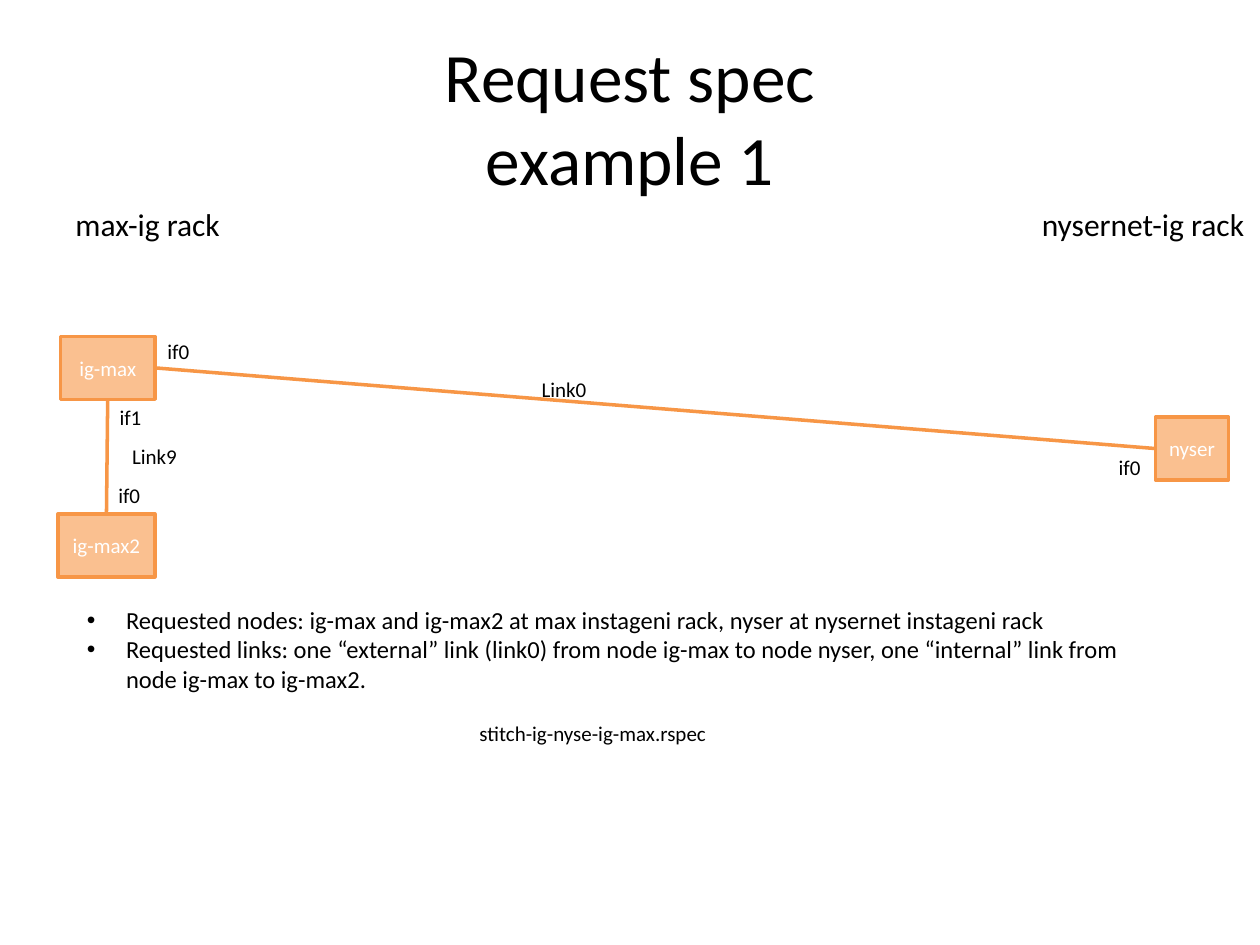
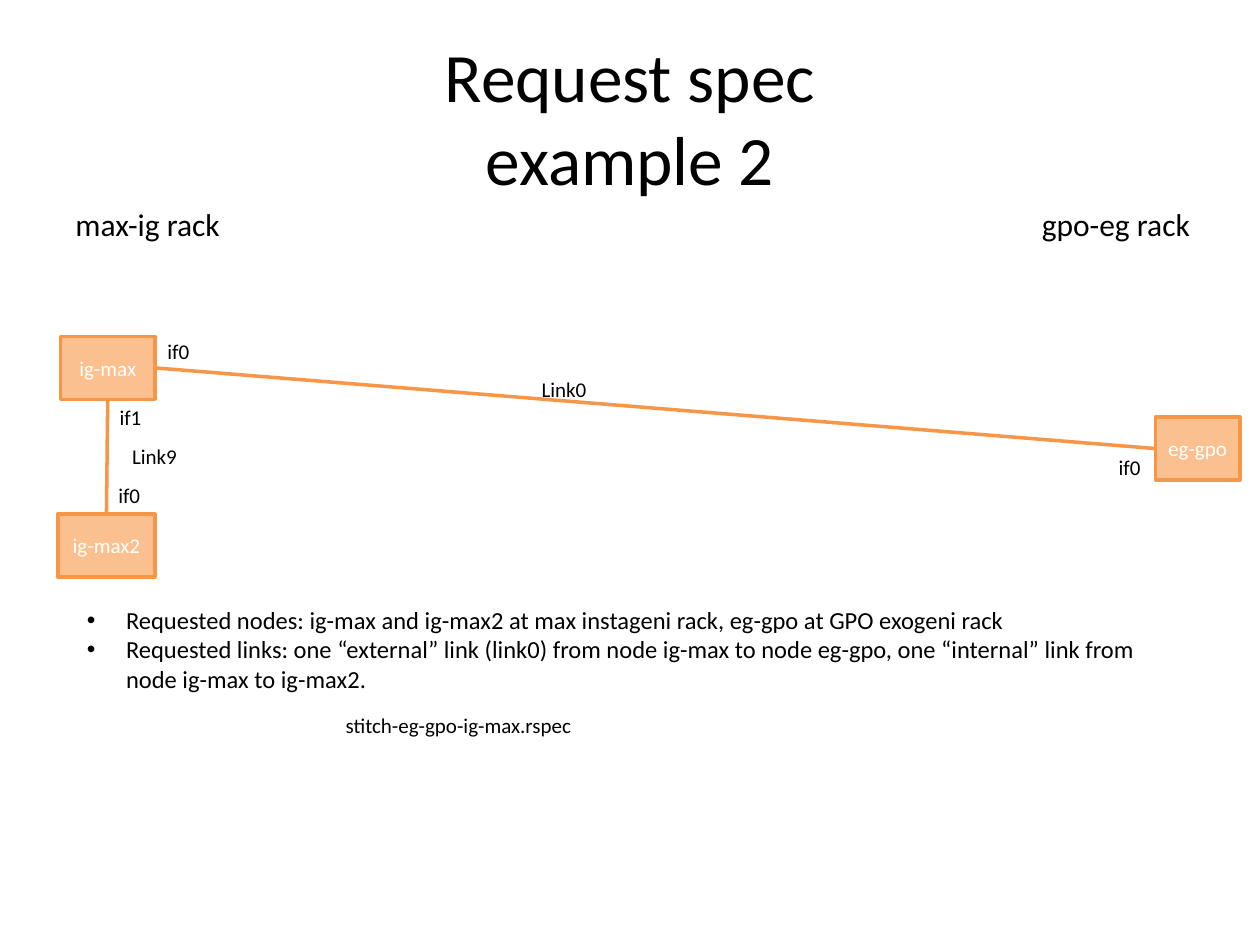
from copy import deepcopy

from lxml.etree import SubElement
from pptx import Presentation
from pptx.dml.color import RGBColor
from pptx.enum.shapes import MSO_CONNECTOR, MSO_SHAPE
from pptx.enum.text import MSO_ANCHOR, MSO_AUTO_SIZE, PP_ALIGN
from pptx.oxml.ns import qn
from pptx.util import Inches, Pt

FONT = "Calibri"
BLACK, WHITE = "000000", "FFFFFF"
NODE_FILL, NODE_LINE = "FAC090", "F79646"
LINE_WIDTH = Pt(2)
NODE_HEIGHT = 0.5
RIGHT, BOTTOM, LEFT, TOP = 3, 2, 1, 0  # connection sites of a rectangle

# Labels that every topology shows: text, left, top, width
LINK_LABELS = [
    ("Link0", 4.2, 2.94, 0.56),
    ("Link9", 0.95, 3.47, 0.56),
    ("if0", 1.23, 2.64, 0.38),
    ("if1", 0.85, 3.16, 0.38),
    ("if0", 0.84, 3.78, 0.38),
    ("if0", 8.78, 3.56, 0.38),
]

# What differs between the examples
EXAMPLES = [
    dict(remote="nyser", remote_width=0.58, rack="nysernet-ig rack",
         rack_width=1.83, site="nysernet instageni rack",
         file="stitch-ig-nyse-ig-max.rspec", file_box=(2.58, 5.67, 4.25, 0.3)),
    dict(remote="eg-gpo", remote_width=0.67, rack="gpo-eg rack",
         rack_width=1.43, site="GPO exogeni rack",
         file="stitch-eg-gpo-ig-max.rspec", file_box=(1.61, 5.61, 4.06, 0.3)),
]


def color(hex_string):
    return RGBColor.from_string(hex_string)


def write(paragraph, text, size=12, text_color=BLACK, align=PP_ALIGN.LEFT):
    """Fill a paragraph; a newline in the text becomes a line break."""
    paragraph.text = text
    paragraph.alignment = align
    for run in paragraph.runs:
        run.font.name = FONT
        run.font.size = Pt(size)
        run.font.color.rgb = color(text_color)
    # Line breaks take the size of the text around them
    for line_break in paragraph._p.findall(qn("a:br")):
        line_break.insert(0, deepcopy(paragraph.runs[0]._r.rPr))


def place(shape, left, top, width, height):
    shape.left, shape.top = Inches(left), Inches(top)
    shape.width, shape.height = Inches(width), Inches(height)


def add_title(slide, text):
    title = slide.shapes.title
    place(title, 0.5, 0.3, 9, 1.25)
    title.text_frame.auto_size = MSO_AUTO_SIZE.NONE
    title.text_frame.vertical_anchor = MSO_ANCHOR.MIDDLE
    write(title.text_frame.paragraphs[0], text, size=39.6, align=PP_ALIGN.CENTER)


def add_bullets(slide, items):
    body = slide.placeholders[1]
    place(body, 0.59, 4.75, 8.74, 0.81)
    frame = body.text_frame
    frame.auto_size = MSO_AUTO_SIZE.NONE
    frame.vertical_anchor = MSO_ANCHOR.TOP
    for index, item in enumerate(items):
        paragraph = frame.add_paragraph() if index else frame.paragraphs[0]
        properties = paragraph._p.get_or_add_pPr()
        properties.set("marL", str(Inches(0.31)))
        properties.set("indent", str(-Inches(0.31)))
        SubElement(properties, qn("a:buFont"), typeface="Arial")
        SubElement(properties, qn("a:buChar"), char="•")
        paragraph.space_before = Pt(0)
        write(paragraph, item, size=14)


def add_label(slide, text, left, top, width, height=0.3, wrap=False, **text_format):
    box = slide.shapes.add_textbox(
        Inches(left), Inches(top), Inches(width), Inches(height))
    box.text_frame.word_wrap = wrap
    box.text_frame.auto_size = MSO_AUTO_SIZE.SHAPE_TO_FIT_TEXT
    write(box.text_frame.paragraphs[0], text, **text_format)


def add_node(slide, name, left, top, width):
    node = slide.shapes.add_shape(
        MSO_SHAPE.RECTANGLE,
        Inches(left), Inches(top), Inches(width), Inches(NODE_HEIGHT))
    node.shadow.inherit = False
    node.fill.solid()
    node.fill.fore_color.rgb = color(NODE_FILL)
    node.line.color.rgb = color(NODE_LINE)
    node.line.width = LINE_WIDTH
    frame = node.text_frame
    frame.margin_left = frame.margin_right = Inches(0.05)
    frame.vertical_anchor = MSO_ANCHOR.MIDDLE
    write(frame.paragraphs[0], name, text_color=WHITE, align=PP_ALIGN.CENTER)
    return node


def add_link(slide, start, start_site, end, end_site):
    link = slide.shapes.add_connector(MSO_CONNECTOR.STRAIGHT, 0, 0, 0, 0)
    link.begin_connect(start, start_site)
    link.end_connect(end, end_site)
    link.line.color.rgb = color(NODE_LINE)
    link.line.width = LINE_WIDTH
    SubElement(link._element.spPr, qn("a:effectLst"))


def add_topology(slide, example):
    # Nodes and the links between them
    local = add_node(slide, "ig-max", 0.48, 2.67, 0.75)
    neighbour = add_node(slide, "ig-max2", 0.46, 4.08, 0.77)
    remote = add_node(slide, example["remote"], 9.17, 3.31, example["remote_width"])
    add_link(slide, local, RIGHT, remote, LEFT)
    add_link(slide, local, BOTTOM, neighbour, TOP)

    # Link, interface and rack names
    for label in LINK_LABELS:
        add_label(slide, *label)
    add_label(slide, "max-ig rack", 0.5, 1.58, 1.38, 0.4, size=18)
    add_label(slide, example["rack"], 8.17, 1.58, example["rack_width"], 0.4, size=18)


def add_example_slide(presentation, number, example):
    slide = presentation.slides.add_slide(presentation.slide_layouts[1])
    remote = example["remote"]
    add_title(slide, f"Request spec\nexample {number}")
    add_topology(slide, example)
    add_bullets(slide, [
        f"Requested nodes: ig-max and ig-max2 at max instageni rack, "
        f"{remote} at {example['site']}",
        f"Requested links: one “external” link (link0) from node ig-max to node "
        f"{remote}, one “internal” link from node ig-max to ig-max2.",
    ])
    add_label(slide, example["file"], *example["file_box"],
              wrap=True, align=PP_ALIGN.CENTER)


def main():
    presentation = Presentation()
    presentation.slide_width, presentation.slide_height = Inches(10), Inches(7.5)
    for number, example in enumerate(EXAMPLES, start=1):
        add_example_slide(presentation, number, example)
    presentation.save("out.pptx")


if __name__ == "__main__":
    main()
